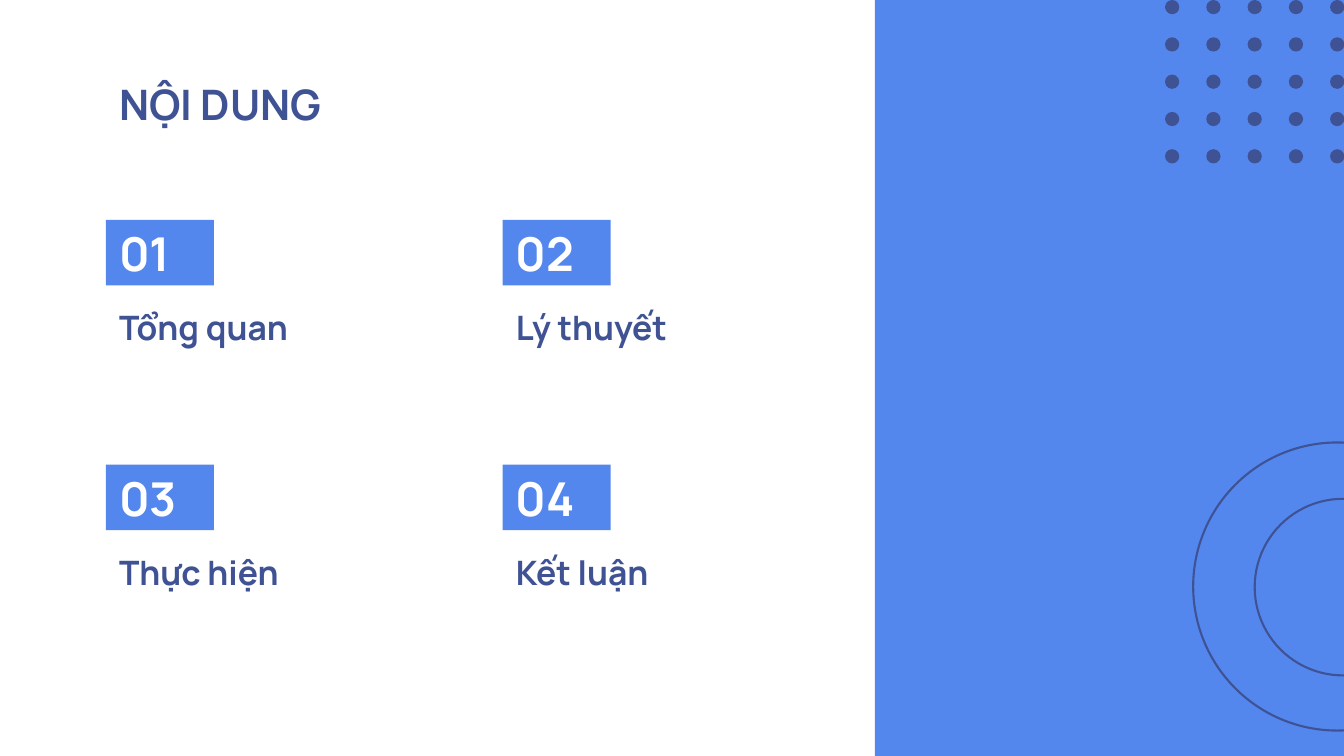
from dataclasses import dataclass
from itertools import product

from pptx import Presentation
from pptx import util as u
from pptx.dml.color import RGBColor
from pptx.enum import shapes, text

BLUE = RGBColor(0x53, 0x87, 0xED)
NAVY = RGBColor(0x3F, 0x52, 0x94)
WHITE = RGBColor(0xFF, 0xFF, 0xFF)
FONT = "Manrope"
INSET = u.Cm(0.33)
RECTANGLE = shapes.MSO_SHAPE.RECTANGLE
OVAL = shapes.MSO_SHAPE.OVAL

LEFT, TOP = 2.67, 5.54
COLUMN_STEP, ROW_STEP = 10, 6.17
LABEL_DROP = 2.07
DOT_LEFT, DOT_SIZE = 29.36, 0.36
DOT_STEP_X, DOT_STEP_Y = 1.04, 0.94


@dataclass(frozen=True)
class Area:
    left: float
    top: float
    width: float
    height: float

    def lengths(self) -> list[u.Cm]:
        return [u.Cm(n) for n in (self.left, self.top, self.width, self.height)]


@dataclass(frozen=True)
class Section:
    number: str
    label: str
    column: int
    row: int


SECTIONS = [
    Section("01", "Tổng quan", 0, 0),
    Section("02", "Lý thuyết", 1, 0),
    Section("03", "Thực hiện", 0, 1),
    Section("04", "Kết luận", 1, 1),
]
RINGS = [Area(30.07, 11.15, 7.26, 7.26), Area(31.62, 12.57, 4.45, 4.45)]


def write(box, words: str, *, size: float, color: RGBColor,
          anchor=text.MSO_ANCHOR.MIDDLE) -> None:
    frame = box.text_frame
    frame.auto_size = text.MSO_AUTO_SIZE.NONE
    frame.word_wrap = True
    frame.vertical_anchor = anchor
    frame.margin_left = frame.margin_right = INSET
    frame.margin_top = frame.margin_bottom = INSET
    para = frame.paragraphs[0]
    para.alignment = text.PP_ALIGN.LEFT
    para.space_before = u.Pt(0)
    span = para.add_run()
    span.text = words
    span.font.name = FONT
    span.font.size = u.Pt(size)
    span.font.bold = True
    span.font.color.rgb = color


def add_filled(page, kind, area: Area, color: RGBColor):
    shape = page.shapes.add_shape(kind, *area.lengths())
    shape.shadow.inherit = False
    shape.fill.solid()
    shape.fill.fore_color.rgb = color
    shape.line.fill.background()
    return shape


def add_ring(page, area: Area) -> None:
    ring = page.shapes.add_shape(OVAL, *area.lengths())
    ring.shadow.inherit = False
    ring.fill.background()
    ring.line.color.rgb = NAVY
    ring.line.width = u.Pt(1.5)


def add_section(page, section: Section) -> None:
    left = LEFT + section.column * COLUMN_STEP
    top = TOP + section.row * ROW_STEP
    badge = add_filled(page, RECTANGLE, Area(left, top, 2.72, 1.65), BLUE)
    write(badge, section.number, size=33.3, color=WHITE)
    label_area = Area(left, top + LABEL_DROP, 8.53, 1.47)
    label = page.shapes.add_textbox(*label_area.lengths())
    write(label, section.label, size=24, color=NAVY,
          anchor=text.MSO_ANCHOR.BOTTOM)


def add_title(page, words: str) -> None:
    title = page.shapes.title
    area = Area(LEFT, 1.65, 28.52, 2.13)
    title.left, title.top, title.width, title.height = area.lengths()
    write(title, words, size=30, color=NAVY, anchor=text.MSO_ANCHOR.TOP)


def main() -> None:
    deck = Presentation()
    deck.slide_width, deck.slide_height = u.Cm(33.87), u.Cm(19.05)
    page = deck.slides.add_slide(deck.slide_layouts[5])
    add_title(page, "NỘI DUNG")
    add_filled(page, RECTANGLE, Area(22.05, 0, 11.82, 19.05), BLUE)
    for row, column in product(range(5), repeat=2):
        dot = Area(DOT_LEFT + column * DOT_STEP_X, row * DOT_STEP_Y,
                   DOT_SIZE, DOT_SIZE)
        add_filled(page, OVAL, dot, NAVY)
    for ring in RINGS:
        add_ring(page, ring)
    for section in SECTIONS:
        add_section(page, section)
    deck.save("out.pptx")


if __name__ == "__main__":
    main()
